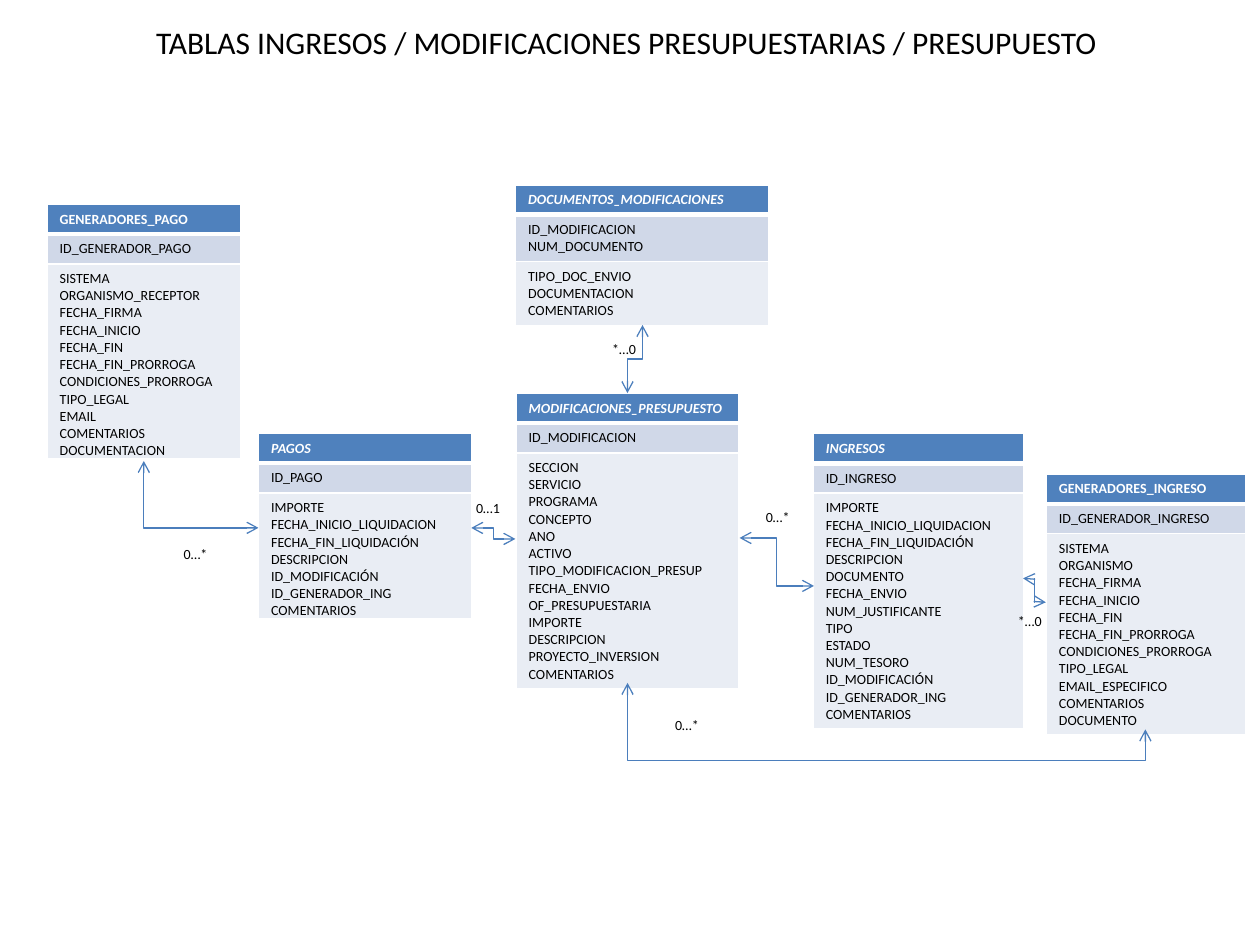
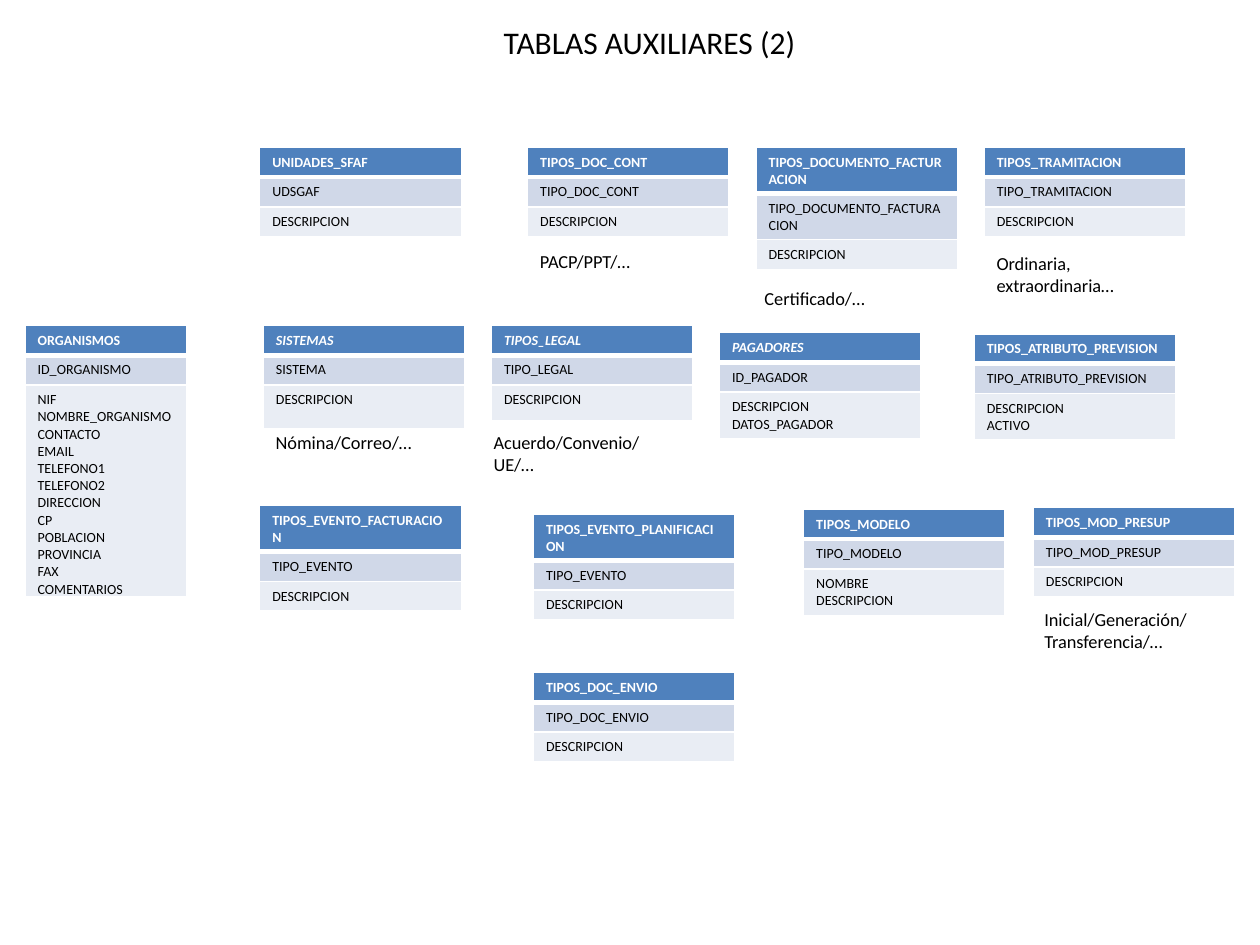
from dataclasses import dataclass

from lxml import etree
from pptx import Presentation
from pptx.dml.color import RGBColor
from pptx.enum.shapes import MSO_CONNECTOR
from pptx.enum.text import PP_ALIGN
from pptx.oxml.ns import qn
from pptx.util import Pt

ELBOW = MSO_CONNECTOR.ELBOW
LEFT, CENTER = PP_ALIGN.LEFT, PP_ALIGN.CENTER

FONT = "Calibri"
WHITE, BLACK = "FFFFFF", "000000"
HEADER_FILL, KEY_FILL, FIELDS_FILL = "4F81BD", "D0D8E8", "E9EDF4"
LINK_COLOR = "4B7EBC"
TITLE_SIZE, NOTE_SIZE, ENTITY_SIZE = 18, 10.5, 8
LINE_HEIGHT, MARGIN = 9.8, 3.6
THIN, THICK = 1, 3
AUX_WIDTH = 115.2


@dataclass(frozen=True)
class Entity:
    """A database table: name, key columns and other columns."""
    left: float
    top: float
    width: float
    name: str
    keys: str
    fields: str
    italic: bool = False
    bottom_margin: float = MARGIN
    fields_height: float = 0


@dataclass(frozen=True)
class Relation:
    """A bent link, given by its box before rotation."""
    left: float
    top: float
    width: float
    height: float
    rotation: int = 0
    flip: bool = False
    bend: float | None = 0.5


@dataclass(frozen=True)
class Caption:
    left: float
    top: float
    text: str
    width: float = 113
    height: float = 20.2
    size: float = NOTE_SIZE
    align: PP_ALIGN = LEFT


def rgb(color: str) -> RGBColor:
    return RGBColor.from_string(color)


def add_run(paragraph, text: str, size: float, color: str = BLACK,
            bold: bool = False, italic: bool = False) -> None:
    run = paragraph.add_run()
    run.text = text
    font = run.font
    font.name, font.size, font.bold, font.italic = FONT, Pt(size), bold, italic
    font.color.rgb = rgb(color)


def add_caption(slide, caption: Caption) -> None:
    box = slide.shapes.add_textbox(Pt(caption.left), Pt(caption.top),
                                   Pt(caption.width), Pt(caption.height))
    box.text_frame.word_wrap = True
    paragraph = box.text_frame.paragraphs[0]
    paragraph.alignment = caption.align
    add_run(paragraph, caption.text, caption.size)


def add_title(slide, text: str, align: PP_ALIGN) -> None:
    add_caption(slide, Caption(82.1, 9.4, text, 578.2, 28.8, TITLE_SIZE, align))


def set_borders(cell, top: float, bottom: float) -> None:
    properties = cell._tc.get_or_add_tcPr()
    sides = {"lnL": THIN, "lnR": THIN, "lnT": top, "lnB": bottom}
    for position, (side, width) in enumerate(sides.items()):
        border = etree.Element(qn(f"a:{side}"), w=str(Pt(width)))
        fill = etree.SubElement(border, qn("a:solidFill"))
        etree.SubElement(fill, qn("a:srgbClr"), val=WHITE)
        properties.insert(position, border)


def add_entity(slide, entity: Entity) -> None:
    # Each section: columns, fill, text colour, top border, bottom border
    sections = [
        (entity.name.split(), HEADER_FILL, WHITE, THIN, THICK),
        (entity.keys.split(), KEY_FILL, BLACK, THICK, THIN),
        (entity.fields.split(), FIELDS_FILL, BLACK, THIN, THIN),
    ]
    table = slide.shapes.add_table(
        len(sections), 1, Pt(entity.left), Pt(entity.top),
        Pt(entity.width), Pt(3 * LINE_HEIGHT)).table
    table.first_row = table.horz_banding = False
    for index, (columns, fill, color, top, bottom) in enumerate(sections):
        is_header, is_fields = index == 0, index == 2
        lower = entity.bottom_margin if is_fields else MARGIN
        height = len(columns) * LINE_HEIGHT + MARGIN + lower
        if is_fields:
            height = max(height, entity.fields_height)
        table.rows[index].height = Pt(height)
        cell = table.cell(index, 0)
        cell.margin_bottom = Pt(lower)
        cell.fill.solid()
        cell.fill.fore_color.rgb = rgb(fill)
        set_borders(cell, top, bottom)
        frame = cell.text_frame
        for line, column in enumerate(columns):
            paragraph = frame.add_paragraph() if line else frame.paragraphs[0]
            add_run(paragraph, column, ENTITY_SIZE, color, is_header,
                    is_header and entity.italic)


def add_relation(slide, relation: Relation) -> None:
    link = slide.shapes.add_connector(
        ELBOW, Pt(relation.left), Pt(relation.top),
        Pt(relation.left + relation.width), Pt(relation.top + relation.height))
    link.line.color.rgb = rgb(LINK_COLOR)
    link.line.width = Pt(0.75)
    properties = link._element.spPr
    # Rotation and bend
    transform = properties.find(qn("a:xfrm"))
    transform.set("rot", str(relation.rotation * 60000))
    if relation.flip:
        transform.set("flipH", "1")
    geometry = properties.find(qn("a:prstGeom"))
    if relation.bend is None:
        geometry.set("prst", "bentConnector2")
    else:
        adjustments = geometry.find(qn("a:avLst"))
        etree.SubElement(adjustments, qn("a:gd"), name="adj1",
                         fmla=f"val {round(relation.bend * 100000)}")
    # Open arrows at both ends, no shadow
    outline = properties.find(qn("a:ln"))
    for end in ("headEnd", "tailEnd"):
        etree.SubElement(outline, qn(f"a:{end}"), type="arrow")
    etree.SubElement(properties, qn("a:effectLst"))


def auxiliary(left: float, top: float, name: str, keys: str,
              fields: str = "DESCRIPCION", italic: bool = False,
              fields_height: float = 0) -> Entity:
    return Entity(left, top, AUX_WIDTH, name, keys, fields, italic,
                  fields_height=fields_height)


def cardinality(left: float, top: float, text: str) -> Caption:
    return Caption(left, top, text, 33.8, 17.3, ENTITY_SIZE)


# Slide 1: income, budget changes and budget
BUDGET_ENTITIES = [
    Entity(597.9, 271, 113.8, "GENERADORES_INGRESO", "ID_GENERADOR_INGRESO",
           "SISTEMA ORGANISMO FECHA_FIRMA FECHA_INICIO FECHA_FIN "
           "FECHA_FIN_PRORROGA CONDICIONES_PRORROGA TIPO_LEGAL "
           "EMAIL_ESPECIFICO COMENTARIOS DOCUMENTO"),
    Entity(294.9, 224.8, 127.4, "MODIFICACIONES_PRESUPUESTO", "ID_MODIFICACION",
           "SECCION SERVICIO PROGRAMA CONCEPTO ANO ACTIVO "
           "TIPO_MODIFICACION_PRESUP FECHA_ENVIO OF_PRESUPUESTARIA IMPORTE "
           "DESCRIPCION PROYECTO_INVERSION COMENTARIOS", True),
    Entity(464.7, 247.8, 120.2, "INGRESOS", "ID_INGRESO",
           "IMPORTE FECHA_INICIO_LIQUIDACION FECHA_FIN_LIQUIDACIÓN DESCRIPCION "
           "DOCUMENTO FECHA_ENVIO NUM_JUSTIFICANTE TIPO ESTADO NUM_TESORO "
           "ID_MODIFICACIÓN ID_GENERADOR_ING COMENTARIOS", True),
    Entity(294.6, 105.7, 144.7, "DOCUMENTOS_MODIFICACIONES",
           "ID_MODIFICACION NUM_DOCUMENTO",
           "TIPO_DOC_ENVIO DOCUMENTACION COMENTARIOS", True),
    Entity(26.9, 116.8, 110.7, "GENERADORES_PAGO", "ID_GENERADOR_PAGO",
           "SISTEMA ORGANISMO_RECEPTOR FECHA_FIRMA FECHA_INICIO FECHA_FIN "
           "FECHA_FIN_PRORROGA CONDICIONES_PRORROGA TIPO_LEGAL EMAIL "
           "COMENTARIOS DOCUMENTACION", bottom_margin=0),
    Entity(147.7, 247.7, 121.7, "PAGOS", "ID_PAGO",
           "IMPORTE FECHA_INICIO_LIQUIDACION FECHA_FIN_LIQUIDACIÓN DESCRIPCION "
           "ID_MODIFICACIÓN ID_GENERADOR_ING COMENTARIOS", True, 0),
]
RELATIONS = [
    Relation(584.6, 330.5, 13, 13.7),
    Relation(422.6, 307.4, 42.5, 27.4, 180),
    Relation(493.2, 255.6, 26.6, 295.9, 270, True, 1.668),
    Relation(343.4, 200.9, 38.9, 8.6, 90),
    Relation(269.3, 301.7, 25.2, 6.3),
    Relation(95.8, 249.8, 38.2, 65.5, 270, True, None),
]
CARDINALITIES = [
    cardinality(378.7, 406.1, "0…*"),
    cardinality(430.6, 287.3, "0…*"),
    cardinality(574.6, 346.3, "*…0"),
    cardinality(342.7, 190.8, "*…0"),
    cardinality(265, 282.2, "0…1"),
    cardinality(97.9, 308.2, "0…*"),
]

# Slide 2: auxiliary tables
AUXILIARY_ENTITIES = [
    Entity(14.3, 186, 92.2, "ORGANISMOS", "ID_ORGANISMO",
           "NIF NOMBRE_ORGANISMO CONTACTO EMAIL TELEFONO1 TELEFONO2 DIRECCION "
           "CP POBLACION PROVINCIA FAX COMENTARIOS", bottom_margin=0),
    auxiliary(150.5, 186, "SISTEMAS", "SISTEMA", italic=True, fields_height=25.2),
    auxiliary(280.8, 186, "TIPOS_LEGAL", "TIPO_LEGAL", italic=True,
              fields_height=20.2),
    auxiliary(411.1, 190.1, "PAGADORES", "ID_PAGADOR",
              "DESCRIPCION DATOS_PAGADOR", True),
    auxiliary(556.7, 190.8, "TIPOS_ATRIBUTO_PREVISION",
              "TIPO_ATRIBUTO_PREVISION", "DESCRIPCION ACTIVO"),
    auxiliary(562.4, 84.2, "TIPOS_TRAMITACION", "TIPO_TRAMITACION"),
    auxiliary(432, 84.2, "TIPOS_DOCUMENTO_FACTURACION",
              "TIPO_DOCUMENTO_FACTURACION"),
    auxiliary(301.5, 84.2, "TIPOS_DOC_CONT", "TIPO_DOC_CONT"),
    auxiliary(148.4, 84.2, "UNIDADES_SFAF", "UDSGAF"),
    auxiliary(148.4, 288.8, "TIPOS_EVENTO_FACTURACION", "TIPO_EVENTO"),
    auxiliary(304.8, 293.9, "TIPOS_EVENTO_PLANIFICACION", "TIPO_EVENTO"),
    auxiliary(459.2, 291.1, "TIPOS_MODELO", "TIPO_MODELO", "NOMBRE DESCRIPCION"),
    auxiliary(590.5, 290.1, "TIPOS_MOD_PRESUP", "TIPO_MOD_PRESUP"),
    auxiliary(304.8, 384.4, "TIPOS_DOC_ENVIO", "TIPO_DOC_ENVIO"),
]
EXAMPLES = [
    Caption(275, 242.6, "Acuerdo/Convenio/UE/…", height=32.4),
    Caption(150.5, 242.6, "Nómina/Correo/…"),
    Caption(562.4, 140.4, "Ordinaria, extraordinaria…", height=32.4),
    Caption(429.8, 160.6, "Certificado/…"),
    Caption(301.5, 139.4, "PACP/PPT/…"),
    Caption(589.7, 344.2, "Inicial/Generación/Transferencia/…", height=32.4),
]


def main() -> None:
    deck = Presentation()
    deck.slide_width, deck.slide_height = Pt(720), Pt(540)
    pages = [
        ("TABLAS INGRESOS / MODIFICACIONES PRESUPUESTARIAS / PRESUPUESTO", LEFT,
         BUDGET_ENTITIES, RELATIONS, CARDINALITIES),
        ("TABLAS AUXILIARES (2)", CENTER, AUXILIARY_ENTITIES, [], EXAMPLES),
    ]
    for title, align, entities, relations, captions in pages:
        slide = deck.slides.add_slide(deck.slide_layouts[6])
        add_title(slide, title, align)
        for entity in entities:
            add_entity(slide, entity)
        for relation in relations:
            add_relation(slide, relation)
        for caption in captions:
            add_caption(slide, caption)
    deck.save("out.pptx")


if __name__ == "__main__":
    main()
